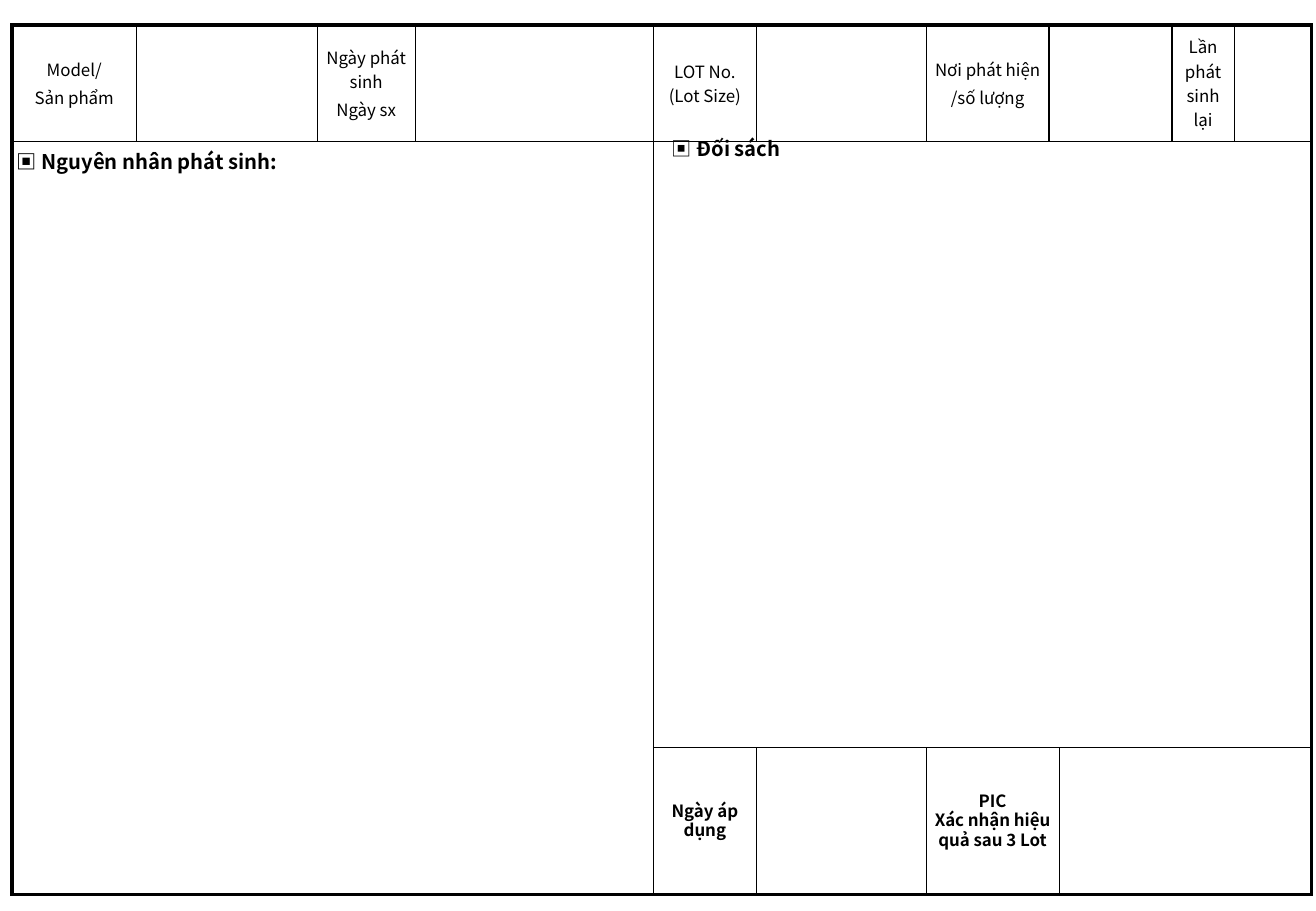
from lxml import etree
from pptx import Presentation
from pptx import util as u
from pptx.dml.color import RGBColor
from pptx.enum import text
from pptx.oxml import ns

COLORS = {"ink": "000000", "paper": "FFFFFF"}
FONT = "Noto Sans CJK SC"
COLUMNS = [2.6, 3.78, 2.05, 4.98, 2.15, 3.55, 2.57, 0.21, 2.36, 1.3, 1.62]
ROWS = [2.43, 6.64, 6.05, 3.06]
THICK, THIN = 2.25, 0.75

LABEL = {"align": text.PP_ALIGN.CENTER}
SPACED = {**LABEL, "gap": 2}
FOOTER = {**LABEL, "bold": True, "spacing": 0.8}

# (row, column, rows spanned, columns spanned, wording, format, open sides)
AREAS = [
    (0, 0, 1, 1, "Model/\nSản phẩm", SPACED, ""),
    (0, 1, 1, 1, "", {}, ""),
    (0, 2, 1, 1, "Ngày phát sinh\nNgày sx", SPACED, ""),
    (0, 3, 1, 1, "", {}, ""),
    (0, 4, 1, 1, "LOT No.\n(Lot Size)", LABEL, ""),
    (0, 5, 1, 1, "", {}, ""),
    (0, 6, 1, 1, "Nơi phát hiện\n/số lượng", SPACED, ""),
    (0, 7, 1, 2, "", {}, ""),
    (0, 9, 1, 1, "Lần\nphát\nsinh\nlại", LABEL, ""),
    (0, 10, 1, 1, "", {}, ""),
    (1, 0, 1, 4, "▣ Nguyên nhân phát sinh:", {"size": 12, "bold": True}, "B"),
    (1, 4, 2, 7, "", {}, ""),
    (2, 0, 2, 4, "", {}, "T"),
    (3, 4, 1, 1, "Ngày áp dụng", FOOTER, ""),
    (3, 5, 1, 1, "", {}, ""),
    (3, 6, 1, 2, "PIC\nXác nhận hiệu quả sau 3 Lot", FOOTER, ""),
    (3, 8, 1, 3, "", {}, ""),
]


def rgb(name):
    """Return a named colour."""
    return RGBColor.from_string(COLORS[name])


def write(frame, wording, marker="", size=10, bold=False, align=text.PP_ALIGN.LEFT,
          gap=0, spacing=None):
    """Fill a text frame, one paragraph a line, after an optional plain marker."""
    for index, line in enumerate(wording.split("\n")):
        paragraph = frame.add_paragraph() if index else frame.paragraphs[0]
        paragraph.alignment = align
        if spacing:
            paragraph.line_spacing = spacing
        if index and gap:
            paragraph.space_before = u.Pt(gap)
        for part, weight in ((marker, False), (line, bold)):
            if part:
                run = paragraph.add_run()
                run.text = part
                run.font.name = FONT
                run.font.size = u.Pt(size)
                run.font.bold = weight
                run.font.color.rgb = rgb("ink")
                east_asian = etree.SubElement(run.font._element, ns.qn("a:ea"))
                east_asian.set("typeface", FONT)


def set_borders(cell, widths):
    """Give a cell its four border widths in points, zero for none."""
    properties = cell._tc.get_or_add_tcPr()
    for index, side in enumerate("LRTB"):
        line = etree.Element(ns.qn(f"a:ln{side}"), w=str(int(u.Pt(widths[side]))))
        if widths[side]:
            fill = etree.SubElement(line, ns.qn("a:solidFill"))
            etree.SubElement(fill, ns.qn("a:srgbClr"), val=COLORS["ink"])
        else:
            etree.SubElement(line, ns.qn("a:noFill"))
        properties.insert(index, line)


def add_area(form, row, column, height, width, wording, style, open_sides):
    """Merge, fill, outline and label one area of the form."""
    bottom, right = row + height - 1, column + width - 1
    anchor = form.cell(row, column)
    if height * width > 1:
        anchor.merge(form.cell(bottom, right))
    on_frame = {"L": column == 0, "R": right == len(COLUMNS) - 1,
                "T": row == 0, "B": bottom == len(ROWS) - 1}
    outline = {side: 0 if side in open_sides else THICK if outer else THIN
               for side, outer in on_frame.items()}
    for r in range(row, bottom + 1):
        for c in range(column, right + 1):
            cell = form.cell(r, c)
            cell.fill.solid()
            cell.fill.fore_color.rgb = rgb("paper")
            at_edge = {"L": c == column, "R": c == right, "T": r == row, "B": r == bottom}
            is_anchor = (r, c) == (row, column)
            set_borders(cell, {side: points if is_anchor or at_edge[side] else 0
                               for side, points in outline.items()})
    anchor.margin_left = anchor.margin_right = u.Cm(0.1)
    anchor.margin_top = anchor.margin_bottom = u.Cm(0.1)
    if wording:
        centred = "align" in style
        anchor.vertical_anchor = text.MSO_ANCHOR.MIDDLE if centred else text.MSO_ANCHOR.TOP
        write(anchor.text_frame, wording, **style)


def add_form(slide):
    """Add the report form as one table."""
    form = slide.shapes.add_table(len(ROWS), len(COLUMNS), u.Cm(0.25), u.Cm(0.52),
                                  u.Cm(sum(COLUMNS)), u.Cm(sum(ROWS))).table
    form.first_row = form.horz_banding = False
    for column, width in zip(form.columns, COLUMNS):
        column.width = u.Cm(width)
    for row, height in zip(form.rows, ROWS):
        row.height = u.Cm(height)
    for area in AREAS:
        add_area(form, *area)


def add_heading(slide, wording, left, top, width, height, **style):
    """Add a free heading over the form."""
    frame = slide.shapes.add_textbox(u.Cm(left), u.Cm(top), u.Cm(width), u.Cm(height)).text_frame
    frame.word_wrap = True
    frame.auto_size = text.MSO_AUTO_SIZE.SHAPE_TO_FIT_TEXT
    write(frame, wording, **style)


def main():
    """Build the report slide."""
    deck = Presentation()
    deck.slide_width, deck.slide_height = u.Cm(27.51), u.Cm(19.05)
    slide = deck.slides.add_slide(deck.slide_layouts[6])
    add_form(slide)
    add_heading(slide, " Đối sách", 13.79, 2.72, 4.78, 0.76, marker="▣", size=12, bold=True)
    deck.save("out.pptx")


if __name__ == "__main__":
    main()
